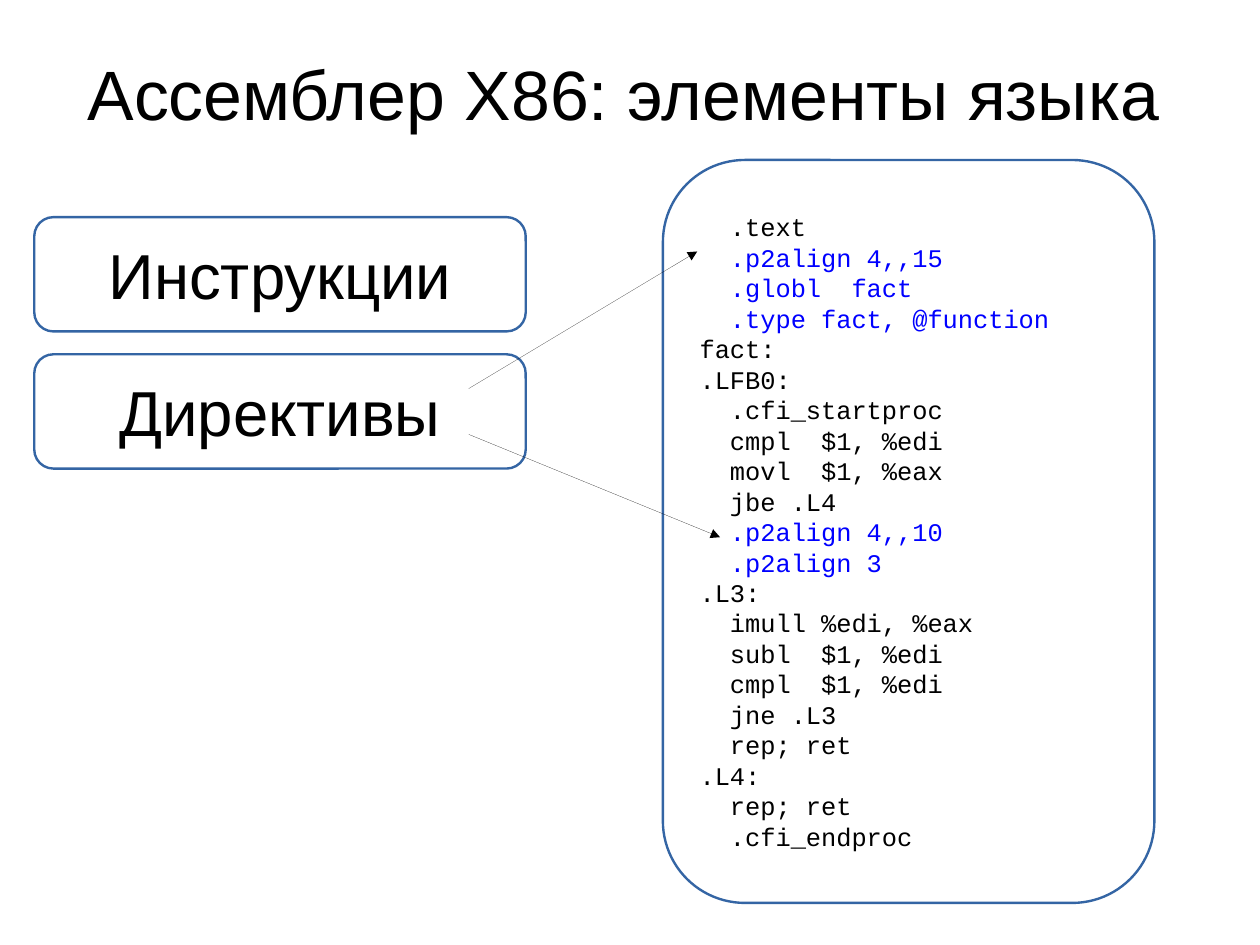
from dataclasses import dataclass

from lxml.etree import SubElement
from pptx import Presentation
from pptx.dml.color import RGBColor
from pptx.enum.shapes import MSO_CONNECTOR as Connector, MSO_SHAPE as Shape
from pptx.enum.text import MSO_ANCHOR as Anchor, MSO_AUTO_SIZE as AutoSize, PP_ALIGN as Align
from pptx.oxml.ns import qn
from pptx.util import Pt


@dataclass(frozen=True)
class Theme:
    black: RGBColor = RGBColor(0, 0, 0)
    white: RGBColor = RGBColor(255, 255, 255)
    directive: RGBColor = RGBColor(0, 0, 255)
    border: RGBColor = RGBColor(0x34, 0x65, 0xA4)
    text_font: str = "Arial"
    code_font: str = "Courier New"
    title_size: float = 44
    label_size: float = 40
    code_size: float = 16
    code_pitch: float = 19.2


class SlideBuilder:
    def __init__(self, slide, theme):
        self.slide = slide
        self.theme = theme

    def add_run(self, paragraph, text, font_name, size, color):
        run = paragraph.add_run()
        run.text = text
        run.font.name = font_name
        run.font.size = Pt(size)
        run.font.color.rgb = color

    def set_frame(self, frame, horizontal=0, vertical=0):
        frame.word_wrap = True
        frame.auto_size = AutoSize.NONE
        frame.vertical_anchor = Anchor.MIDDLE
        frame.margin_left = frame.margin_right = Pt(horizontal)
        frame.margin_top = frame.margin_bottom = Pt(vertical)

    def title(self, text, left, top, width, height):
        title = self.slide.shapes.title
        title.left, title.top, title.width, title.height = map(Pt, (left, top, width, height))
        self.set_frame(title.text_frame)
        paragraph = title.text_frame.paragraphs[0]
        paragraph.alignment = Align.CENTER
        self.add_run(paragraph, text, self.theme.text_font, self.theme.title_size, self.theme.black)

    def rounded_box(self, left, top, width, height):
        box = self.slide.shapes.add_shape(
            Shape.ROUNDED_RECTANGLE, *map(Pt, (left, top, width, height)))
        box.adjustments[0] = 0.167
        box.shadow.inherit = False
        box.fill.solid()
        box.fill.fore_color.rgb = self.theme.white
        box.line.color.rgb = self.theme.border
        box.line.width = Pt(1.5)
        self.set_frame(box.text_frame, 8, 4)
        return box.text_frame

    def label(self, text, left, top, width, height):
        paragraph = self.rounded_box(left, top, width, height).paragraphs[0]
        paragraph.alignment = Align.CENTER
        self.add_run(paragraph, text, self.theme.text_font, self.theme.label_size, self.theme.black)

    def code(self, listing, directives, left, top, width, height):
        theme = self.theme
        frame = self.rounded_box(left, top, width, height)
        for index, line in enumerate(listing.splitlines()):
            paragraph = frame.add_paragraph() if index else frame.paragraphs[0]
            paragraph.alignment = Align.LEFT
            paragraph.line_spacing = Pt(theme.code_pitch)
            color = theme.directive if line.strip().startswith(directives) else theme.black
            self.add_run(paragraph, line, theme.code_font, theme.code_size, color)

    def arrow(self, start, end):
        arrow = self.slide.shapes.add_connector(Connector.STRAIGHT, *map(Pt, (*start, *end)))
        arrow.line.color.rgb = self.theme.black
        outline = arrow._element.spPr.find(qn("a:ln"))
        outline.set("w", "0")
        SubElement(outline, qn("a:tailEnd"), type="triangle")
        SubElement(arrow._element.spPr, qn("a:effectLst"))


LISTING = """\
  .text
  .p2align 4,,15
  .globl  fact
  .type fact, @function
fact:
.LFB0:
  .cfi_startproc
  cmpl  $1, %edi
  movl  $1, %eax
  jbe .L4
  .p2align 4,,10
  .p2align 3
.L3:
  imull %edi, %eax
  subl  $1, %edi
  cmpl  $1, %edi
  jne .L3
  rep; ret
.L4:
  rep; ret
  .cfi_endproc"""
DIRECTIVES = (".p2align", ".globl", ".type")
BOX_WIDTH = 309.6


def main():
    presentation = Presentation()
    presentation.slide_width = Pt(793.7)
    presentation.slide_height = Pt(595.28)
    slide = presentation.slides.add_slide(presentation.slide_layouts[5])
    builder = SlideBuilder(slide, Theme())

    builder.title("Ассемблер X86: элементы языка", 36, 8.64, 714.24, 99.36)
    builder.code(LISTING, DIRECTIVES, 417.6, 100.8, BOX_WIDTH, 468)
    for row, text in enumerate(("Инструкции", "Директивы")):
        builder.label(text, 21.6, 136.8 + row * 86.4, BOX_WIDTH, 72)
    builder.arrow((295.2, 244.8), (439.2, 158.4))
    builder.arrow((295.2, 273.6), (453.6, 338.4))

    presentation.save("out.pptx")


if __name__ == "__main__":
    main()
